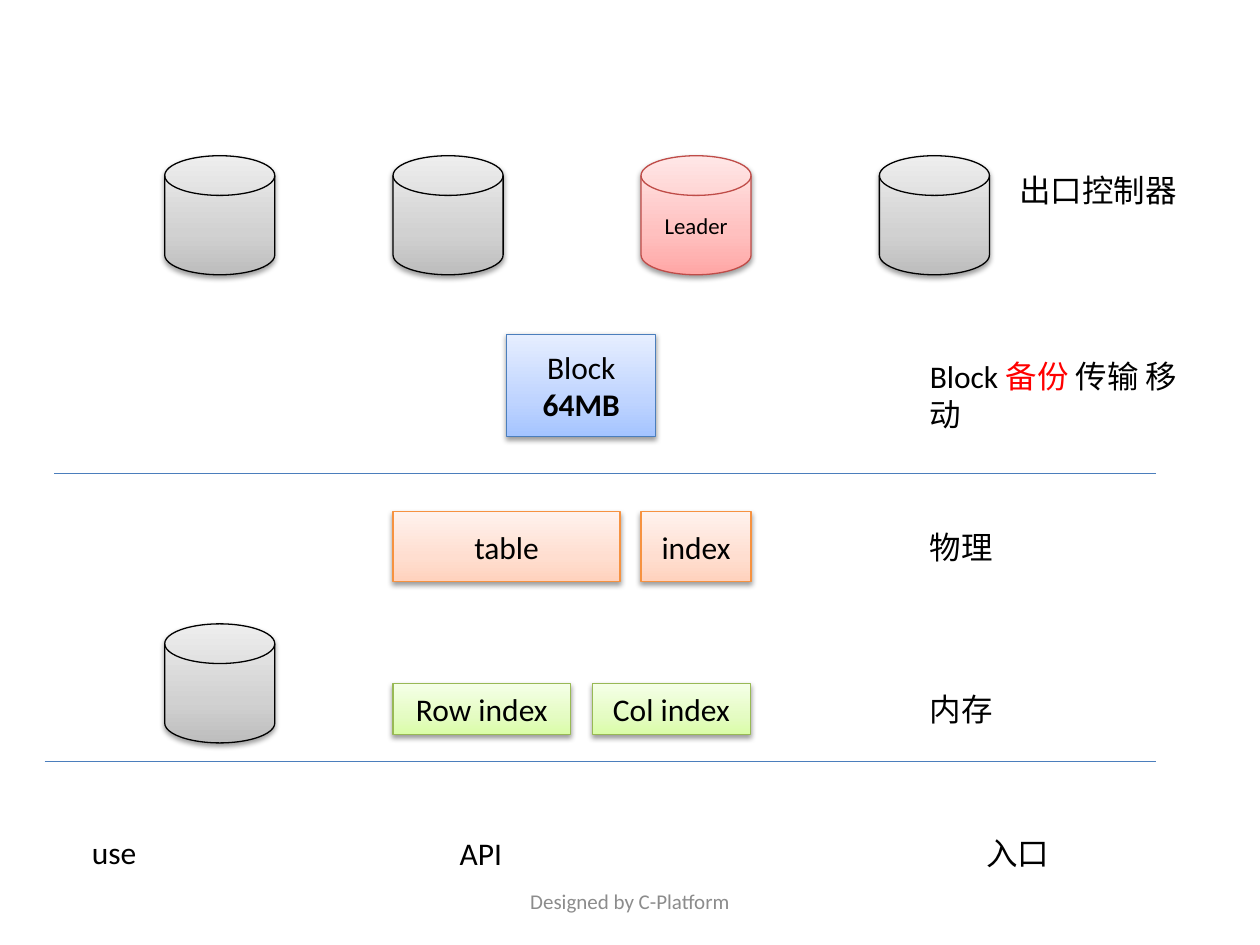
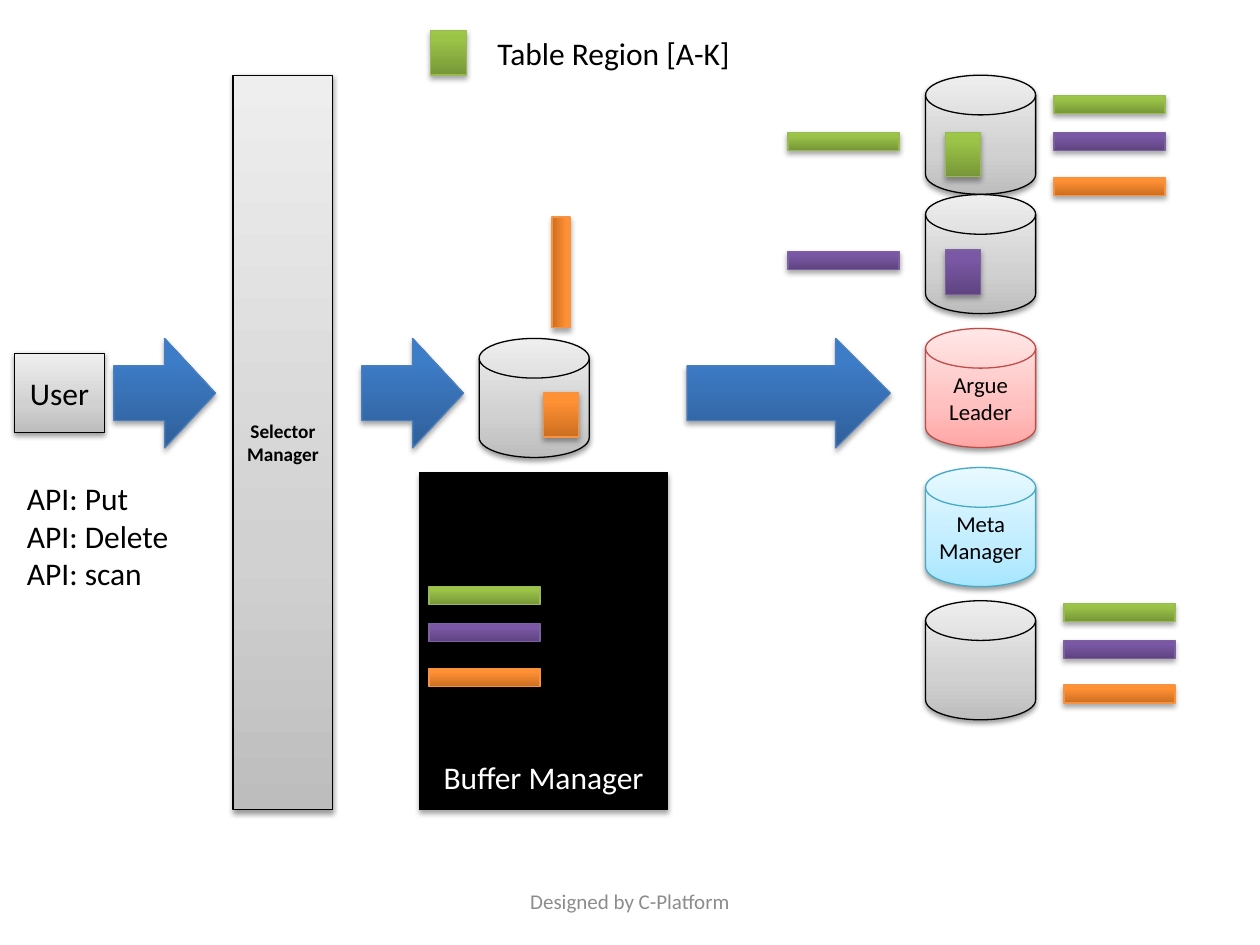
from copy import deepcopy

from lxml import etree
from pptx import Presentation
from pptx.dml.color import RGBColor
from pptx.enum.shapes import MSO_CONNECTOR, MSO_SHAPE
from pptx.enum.text import MSO_ANCHOR, PP_ALIGN
from pptx.oxml.ns import qn
from pptx.util import Pt

RECT = MSO_SHAPE.RECTANGLE
DISK = MSO_SHAPE.FLOWCHART_MAGNETIC_DISK
ARROW = MSO_SHAPE.RIGHT_ARROW
STRAIGHT = MSO_CONNECTOR.STRAIGHT
LEFT, CENTER = PP_ALIGN.LEFT, PP_ALIGN.CENTER
TOP, MIDDLE, BOTTOM = MSO_ANCHOR.TOP, MSO_ANCHOR.MIDDLE, MSO_ANCHOR.BOTTOM

FONT = "Calibri"
BLACK = RGBColor(0x00, 0x00, 0x00)
WHITE = RGBColor(0xFF, 0xFF, 0xFF)
RED = RGBColor(0xFF, 0x00, 0x00)
FOOTER_GREY = RGBColor(0x8C, 0x8C, 0x8C)
BLUE_LINE = RGBColor(0x4B, 0x7E, 0xBC)
RED_LINE = RGBColor(0xBF, 0x4C, 0x48)
CYAN_LINE = RGBColor(0x46, 0xAA, 0xC5)
ORANGE_LINE = RGBColor(0xF6, 0x92, 0x40)
GREEN_LINE = RGBColor(0x98, 0xB9, 0x55)
PURPLE_LINE = RGBColor(0x7D, 0x60, 0xA0)


def ramp(*codes):
    return [RGBColor.from_string(code) for code in codes]


PALE = {"middle": 0.35, "alpha": 38, "dist": 1.6}
STRONG = {"middle": 0.8, "alpha": 35, "dist": 1.8}
STYLES = {
    "grey": (ramp("BDBDBD", "D1D1D1", "EEEEEE"), BLACK, PALE),
    "pink": (ramp("FFA6A5", "FFC0BF", "FFE7E7"), RED_LINE, PALE),
    "sky": (ramp("A7E6FF", "C1EDFF", "E7F8FF"), CYAN_LINE, PALE),
    "pale blue": (ramp("A4C4FF", "BFD4FF", "E6EEFF"), BLUE_LINE, PALE),
    "peach": (ramp("FFD2BD", "FFDED0", "FFF2ED"), ORANGE_LINE, PALE),
    "lime": (ramp("DAFDA7", "E4FCC2", "F5FFE7"), GREEN_LINE, PALE),
    "blue": (ramp("2F5F99", "3D7CC7", "3A7CCB"), BLUE_LINE, STRONG),
    "green": (ramp("779737", "9BC348", "9DC746"), GREEN_LINE, STRONG),
    "purple": (ramp("5F4480", "7B58A6", "7C57A8"), PURPLE_LINE, STRONG),
    "orange": (ramp("CC6E20", "FF9034", "FF9136"), ORANGE_LINE, STRONG),
    "black": ([BLACK], BLACK, STRONG),
}

FOOTER = "Designed by C-Platform"
DISK_SIZE = (62.9, 68)
BAR_SIZE = (63.4, 10.3)
CHIP_SIZE = (20.2, 25.5)
LABEL_H = 29

STORAGE_DISKS = [
    (94.1, 89, "grey", ""), (224.6, 89, "grey", ""),
    (366.3, 89, "pink", "Leader"), (502.5, 89, "grey", ""),
    (94.1, 356.5, "grey", ""),
]
STORAGE_BOXES = [
    (289.6, 191, 85.2, 58.5, "pale blue", [[("Block ", {}), ("64MB", {"bold": True})]]),
    (224.6, 292.3, 129.8, 40, "peach", "table"),
    (366.3, 292.3, 62.9, 40, "peach", "index"),
    (224.6, 390.6, 101.5, 29.2, "lime", "Row index"),
    (338.4, 390.6, 90.5, 29.2, "lime", "Col index"),
]
LAYER_LINES = [(31, 270.7), (25.5, 435)]
LINE_END = 660.5
LAYER_LABELS = [
    (575.3, 94.3, 105, "出口控制器"),
    (524.2, 298, 51, "物理"), (524.2, 391, 51, "内存"),
    (45.4, 472.3, 40.3, "use"), (255.6, 473, 39, "API"), (556.6, 473, 51, "入口"),
]
BLOCK_ACTIONS = [[("Block ", {}), ("备份", {"color": RED}), (" 传输 移动", {})]]

SERVER_X = 528.9
SERVERS = [
    (43, "grey", ""), (111.2, "grey", ""), (187.7, "pink", "Argue\nLeader"),
    (267.2, "sky", "Meta\nManager"), (343.3, "grey", ""),
]
ARROWS = [(65, 58.2), (206.7, 58.2), (392.6, 116.2)]
BAR_STACKS = [(245.2, 335.2), (602.3, 54.5), (608, 344.7)]
STACK_ROWS = [(0, "green"), (21.2, "purple"), (46.8, "orange")]
SINGLE_BARS = [
    (450.3, 75.6, "green", 0), (450.3, 143.6, "purple", 0), (288.9, 150.5, "orange", 90),
]
CHIPS = [
    (540.2, 75.6, "green"), (540.2, 142.8, "purple"),
    (310.4, 224.3, "orange"), (246.2, 17.4, "green"),
]


def write(sp, content, size=18, color=BLACK, bold=False, align=CENTER, anchor=MIDDLE, wrap=True):
    tf = sp.text_frame
    tf.word_wrap = wrap
    tf.vertical_anchor = anchor
    paragraphs = content
    if isinstance(content, str):
        paragraphs = [[(line, {})] for line in content.split("\n")]
    for i, runs in enumerate(paragraphs):
        p = tf.add_paragraph() if i else tf.paragraphs[0]
        p.alignment = align
        for text, look in runs:
            r = p.add_run()
            r.text = text
            r.font.name = FONT
            r.font.size = Pt(size)
            r.font.bold = look.get("bold", bold)
            r.font.color.rgb = look.get("color", color)
    return tf


def shape(s, kind, x, y, w, h, style, text="", **text_look):
    colors, line, effect = STYLES[style]
    sp = s.shapes.add_shape(kind, Pt(x), Pt(y), Pt(w), Pt(h))
    spPr = sp._element.spPr
    if len(colors) == 1:
        sp.fill.solid()
        sp.fill.fore_color.rgb = colors[0]
    else:
        sp.fill.gradient()
        sp.fill.gradient_angle = 90
        gs_list = spPr.find(".//" + qn("a:gsLst"))
        gs_list.append(deepcopy(gs_list[0]))
        for stop, position, color in zip(sp.fill.gradient_stops, (0, effect["middle"], 1), colors):
            stop.position = position
            stop.color.rgb = color
    sp.line.color.rgb = line
    sp.line.width = Pt(0.75)
    sp.shadow.inherit = False
    shadow = etree.SubElement(
        spPr.find(qn("a:effectLst")), qn("a:outerShdw"),
        blurRad=str(Pt(3.1)), dist=str(Pt(effect["dist"])), dir="5400000", rotWithShape="0")
    rgb = etree.SubElement(shadow, qn("a:srgbClr"), val="000000")
    etree.SubElement(rgb, qn("a:alpha"), val=str(effect["alpha"] * 1000))
    if text:
        tf = write(sp, text, **text_look)
        tf.margin_left = tf.margin_right = Pt(3.6)
    return sp


def label(s, x, y, w, h, text, **text_look):
    sp = s.shapes.add_textbox(Pt(x), Pt(y), Pt(w), Pt(h))
    write(sp, text, **{"align": LEFT, "anchor": TOP, "wrap": False, **text_look})


def divider(s, x, y):
    line = s.shapes.add_connector(STRAIGHT, Pt(x), Pt(y), Pt(LINE_END), Pt(y))
    line.line.color.rgb = BLUE_LINE
    line.line.width = Pt(0.75)
    etree.SubElement(line._element.spPr, qn("a:effectLst"))


def new_slide(prs):
    s = prs.slides.add_slide(prs.slide_layouts[6])
    label(s, 246, 500.5, 228, LABEL_H, FOOTER, size=12, color=FOOTER_GREY,
          align=CENTER, anchor=MIDDLE)
    return s


def storage_slide(prs):
    s = new_slide(prs)
    for x, y, style, text in STORAGE_DISKS:
        shape(s, DISK, x, y, *DISK_SIZE, style, text, size=13)
    for x, y, w, h, style, text in STORAGE_BOXES:
        shape(s, RECT, x, y, w, h, style, text)
    for x, y in LAYER_LINES:
        divider(s, x, y)
    for x, y, w, text in LAYER_LABELS:
        label(s, x, y, w, LABEL_H, text)
    label(s, 524.2, 200.5, 167, LABEL_H, BLOCK_ACTIONS, wrap=True)


def request_slide(prs):
    s = new_slide(prs)
    buffer = shape(s, RECT, 239.6, 270, 142, 192.7, "black", "Buffer Manager",
                   color=WHITE, anchor=BOTTOM)
    buffer.text_frame.margin_bottom = Pt(8)
    shape(s, RECT, 8.3, 201.9, 51.4, 45.4, "grey", "User")
    shape(s, RECT, 133.2, 43, 57, 419.7, "grey", "Selector\nManager", size=11, bold=True)
    label(s, 8.3, 270, 96.5, 72.7, "API: Put\nAPI: Delete\nAPI: scan")
    for x, w in ARROWS:
        shape(s, ARROW, x, 193.4, w, 62.6, "blue")
    for y, style, text in SERVERS:
        shape(s, DISK, SERVER_X, y, *DISK_SIZE, style, text, size=13)
    shape(s, DISK, 273.8, 193.4, *DISK_SIZE, "grey")
    for x, y in BAR_STACKS:
        for dy, style in STACK_ROWS:
            shape(s, RECT, x, y + dy, *BAR_SIZE, style)
    for x, y, style, turn in SINGLE_BARS:
        shape(s, RECT, x, y, *BAR_SIZE, style).rotation = turn
    for x, y, style in CHIPS:
        shape(s, RECT, x, y, *CHIP_SIZE, style)
    label(s, 277.2, 15.8, 149, LABEL_H, "Table Region [A-K]")


def main():
    prs = Presentation()
    prs.slide_width, prs.slide_height = Pt(720), Pt(540)
    storage_slide(prs)
    request_slide(prs)
    prs.save("out.pptx")


if __name__ == "__main__":
    main()
